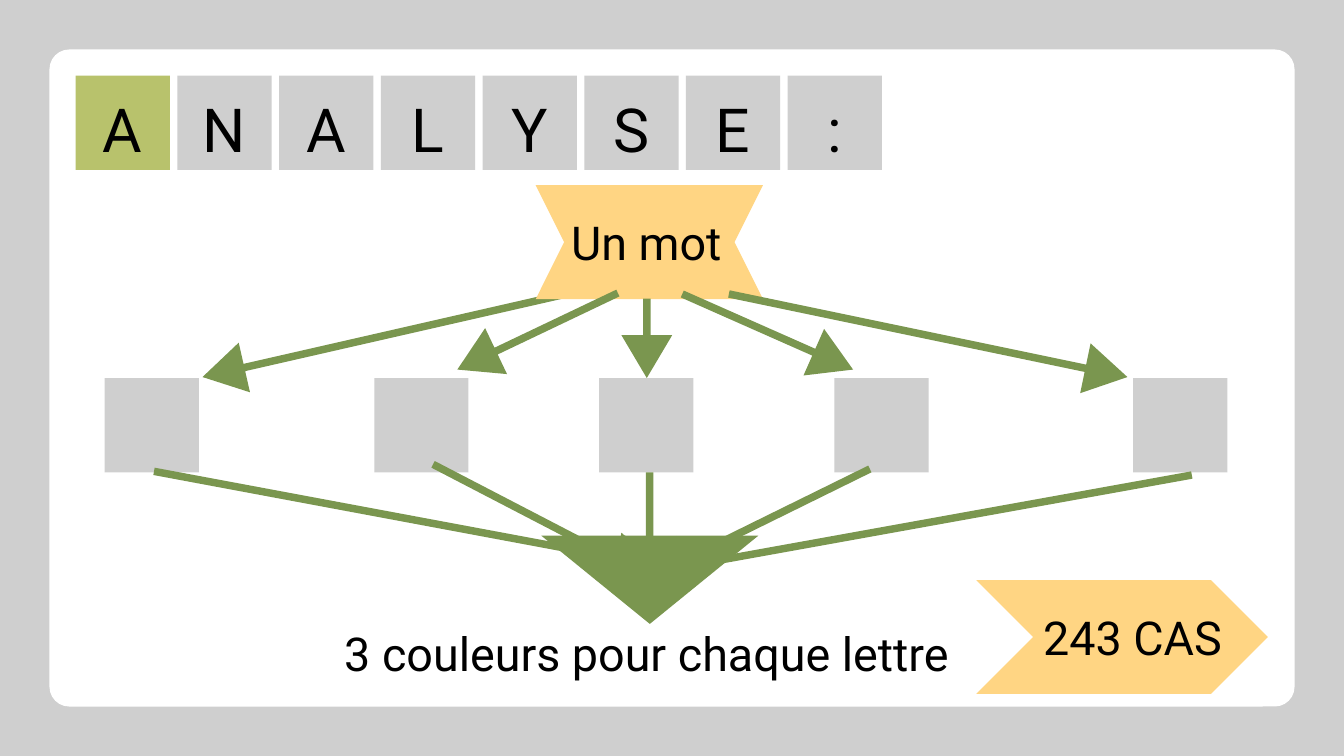
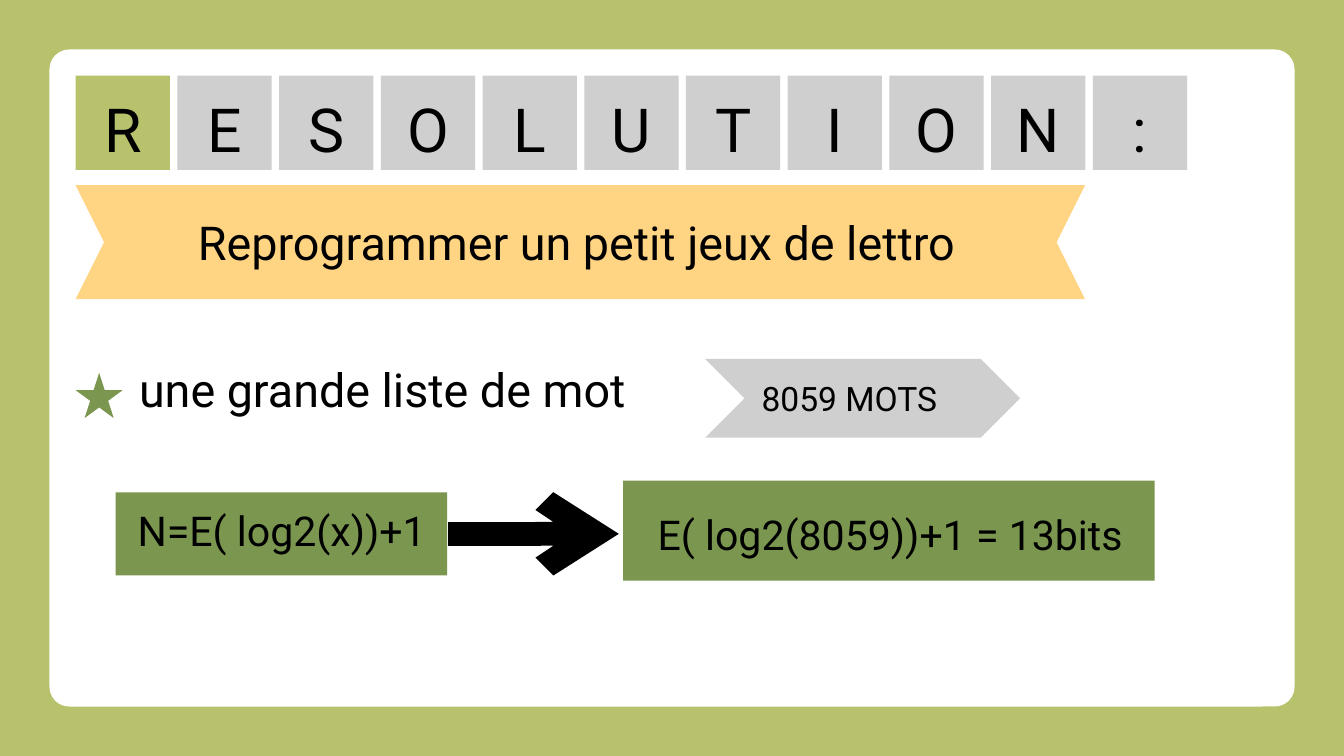
from math import hypot
from lxml.etree import SubElement
from pptx import Presentation
from pptx.dml.color import RGBColor
from pptx.enum.shapes import MSO_CONNECTOR, MSO_SHAPE
from pptx.enum.text import MSO_ANCHOR, MSO_AUTO_SIZE, PP_ALIGN
from pptx.oxml.ns import qn
from pptx.util import Pt

COLORS = {
    "grey": "CFCFCF",
    "lime": "B8C26C",
    "green": "7A964F",
    "amber": "FFD583",
    "white": "FFFFFF",
    "black": "000000",
}
FONT = "Roboto"
TILE, TILE_PITCH = 101, 109
TITLE_LEFT, TITLE_TOP = 81, 81
SHAFT, HEAD_LENGTH, HEAD_WIDTH = 8, 46, 54.5
RIBBON_TOP, RIBBON_HEIGHT, RIBBON_NOTCH = 198.5, 122, 30.5

ANALYSIS = {
    "title": "ANALYSE:",
    "background": "grey",
    "ribbon": (574, 243.5),
    "letter_lefts": (112, 401, 642, 894, 1214),
    "letter_top": 405,
    "rear_arrow": ((642, 307), (217, 404)),
    "split_arrows": [
        ((662, 314), (490, 396)),
        ((693, 320), (693, 405)),
        ((731, 315), (914, 396)),
        ((781, 315), (1208, 404)),
    ],
    "merge_arrows": [
        ((165, 505), (706, 606)),
        ((464, 497.5), (698, 619)),
        ((696, 506), (696, 621)),
        ((932, 502.5), (695.5, 619)),
        ((1277, 509), (689, 615)),
    ],
    "shapes": [
        (MSO_SHAPE.FLOWCHART_MERGE, (580, 574, 232.5, 94.5), "green"),
        (MSO_SHAPE.CHEVRON, (1046, 621.5, 312.5, 122), "amber"),
    ],
    "labels": [
        ("Un mot", (545, 229, 295, 60), 50, PP_ALIGN.CENTER),
        ("3 couleurs pour chaque lettre", (78, 669, 1230, 60), 50, PP_ALIGN.CENTER),
        ("243 CAS", (1066, 652, 295, 60), 50, PP_ALIGN.CENTER),
    ],
}
RESOLUTION = {
    "title": "RESOLUTION:",
    "background": "lime",
    "ribbon": (81, 1081.5),
    "shapes": [
        (MSO_SHAPE.CHEVRON, (755.5, 384.5, 337.5, 84.5), "grey"),
        (MSO_SHAPE.STAR_5_POINT, (81, 399.5, 50.5, 48.5), "green"),
        (MSO_SHAPE.RECTANGLE, (124, 527.5, 355, 89), "green"),
        (MSO_SHAPE.RECTANGLE, (667.5, 515, 569.5, 107), "green"),
    ],
    "formula_arrow": ((479.5, 572), (663, 572)),
    "labels": [
        ("Reprogrammer un petit jeux de lettro", (97, 229, 1042, 60), 50, PP_ALIGN.CENTER),
        ("une grande liste de mot", (149, 387, 571, 60), 50, PP_ALIGN.LEFT),
        ("8059 MOTS", (762.5, 405, 295, 43), 36, PP_ALIGN.CENTER),
        ("N=E( log2(x))+1", (93, 542, 418, 53), 44, PP_ALIGN.CENTER),
        ("E( log2(8059))+1 = 13bits", (663, 546, 582, 53), 44, PP_ALIGN.CENTER),
    ],
}


def color(name):
    return RGBColor.from_string(COLORS[name])


def paint(shape, fill):
    shape.shadow.inherit = False
    shape.fill.solid()
    shape.fill.fore_color.rgb = color(fill)
    shape.line.fill.background()
    return shape


def add_block(page, kind, frame, fill):
    return paint(page.shapes.add_shape(kind, *map(Pt, frame)), fill)


def add_outline(page, points, fill):
    corners = [(Pt(x), Pt(y)) for x, y in points]
    builder = page.shapes.build_freeform(*corners[0])
    builder.add_line_segments(corners[1:], close=True)
    return paint(builder.convert_to_shape(), fill)


def add_arrow(page, start, tip):
    (x, y), (tip_x, tip_y) = start, tip
    length = hypot(tip_x - x, tip_y - y)
    along_x, along_y = (tip_x - x) / length, (tip_y - y) / length
    neck = length - HEAD_LENGTH
    profile = [
        (0, SHAFT / 2), (neck, SHAFT / 2), (neck, HEAD_WIDTH / 2), (length, 0),
        (neck, -HEAD_WIDTH / 2), (neck, -SHAFT / 2), (0, -SHAFT / 2),
    ]
    points = [(x + run * along_x - side * along_y, y + run * along_y + side * along_x)
              for run, side in profile]
    add_outline(page, points, "green")


def add_ribbon(page, left, width):
    right = left + width
    middle, bottom = RIBBON_TOP + RIBBON_HEIGHT / 2, RIBBON_TOP + RIBBON_HEIGHT
    add_outline(page, [
        (left, RIBBON_TOP), (right, RIBBON_TOP), (right - RIBBON_NOTCH, middle),
        (right, bottom), (left, bottom), (left + RIBBON_NOTCH, middle),
    ], "amber")


def format_text(box, size, spacing, align):
    frame = box.text_frame
    frame.margin_left = frame.margin_right = frame.margin_top = frame.margin_bottom = 0
    frame.word_wrap = True
    frame.auto_size = MSO_AUTO_SIZE.NONE
    frame.vertical_anchor = MSO_ANCHOR.TOP
    para = frame.paragraphs[0]
    para.alignment = align
    para.line_spacing = Pt(size * spacing)
    for span in para.runs:
        span.font.name = FONT
        span.font.size = Pt(size)
        span.font.color.rgb = color("black")


def add_label(page, text, frame, size, align):
    box = page.shapes.add_textbox(*map(Pt, frame))
    box.text_frame.text = text
    format_text(box, size, 1.2, align)


def add_title(page, word):
    for index in range(len(word)):
        left = TITLE_LEFT + index * TILE_PITCH
        add_block(page, MSO_SHAPE.RECTANGLE, (left, TITLE_TOP, TILE, TILE),
                  "grey" if index else "lime")
    title = page.shapes.title
    title.left, title.top = Pt(TITLE_LEFT), Pt(TITLE_TOP + 4)
    title.width, title.height = Pt(len(word) * TILE_PITCH), Pt(86)
    title.text_frame.text = "".join("\t" + letter for letter in word)
    tabs = SubElement(title.text_frame.paragraphs[0]._p.get_or_add_pPr(), qn("a:tabLst"))
    for index in range(len(word)):
        center = Pt(index * TILE_PITCH + TILE / 2)
        SubElement(tabs, qn("a:tab"), pos=str(center), algn="ctr")
    format_text(title, 65, 1.4, PP_ALIGN.LEFT)
    title.element.getparent().append(title.element)


def add_formula_arrow(page, start, end):
    arrow = page.shapes.add_connector(MSO_CONNECTOR.STRAIGHT, *map(Pt, start + end))
    arrow.line.color.rgb = color("black")
    arrow.line.width = Pt(25.5)
    SubElement(arrow.line._get_or_add_ln(), qn("a:tailEnd"), type="arrow")
    SubElement(arrow.element.spPr, qn("a:effectLst"))


def add_page(deck, content):
    page = deck.slides.add_slide(deck.slide_layouts[5])
    page.background.fill.solid()
    page.background.fill.fore_color.rgb = color(content["background"])
    panel = add_block(page, MSO_SHAPE.ROUNDED_RECTANGLE, (53, 53, 1334, 704), "white")
    panel.adjustments[0] = 0.03
    add_title(page, content["title"])
    if "rear_arrow" in content:
        add_arrow(page, *content["rear_arrow"])
    add_ribbon(page, *content["ribbon"])
    for start, tip in content.get("split_arrows", []):
        add_arrow(page, start, tip)
    for left in content.get("letter_lefts", []):
        add_block(page, MSO_SHAPE.RECTANGLE, (left, content["letter_top"], TILE, TILE), "grey")
    for start, tip in content.get("merge_arrows", []):
        add_arrow(page, start, tip)
    for kind, frame, fill in content["shapes"]:
        add_block(page, kind, frame, fill)
    if "formula_arrow" in content:
        add_formula_arrow(page, *content["formula_arrow"])
    for label in content["labels"]:
        add_label(page, *label)


def main():
    deck = Presentation()
    deck.slide_width, deck.slide_height = Pt(1440), Pt(810)
    for content in (ANALYSIS, RESOLUTION):
        add_page(deck, content)
    deck.save("out.pptx")


if __name__ == "__main__":
    main()
